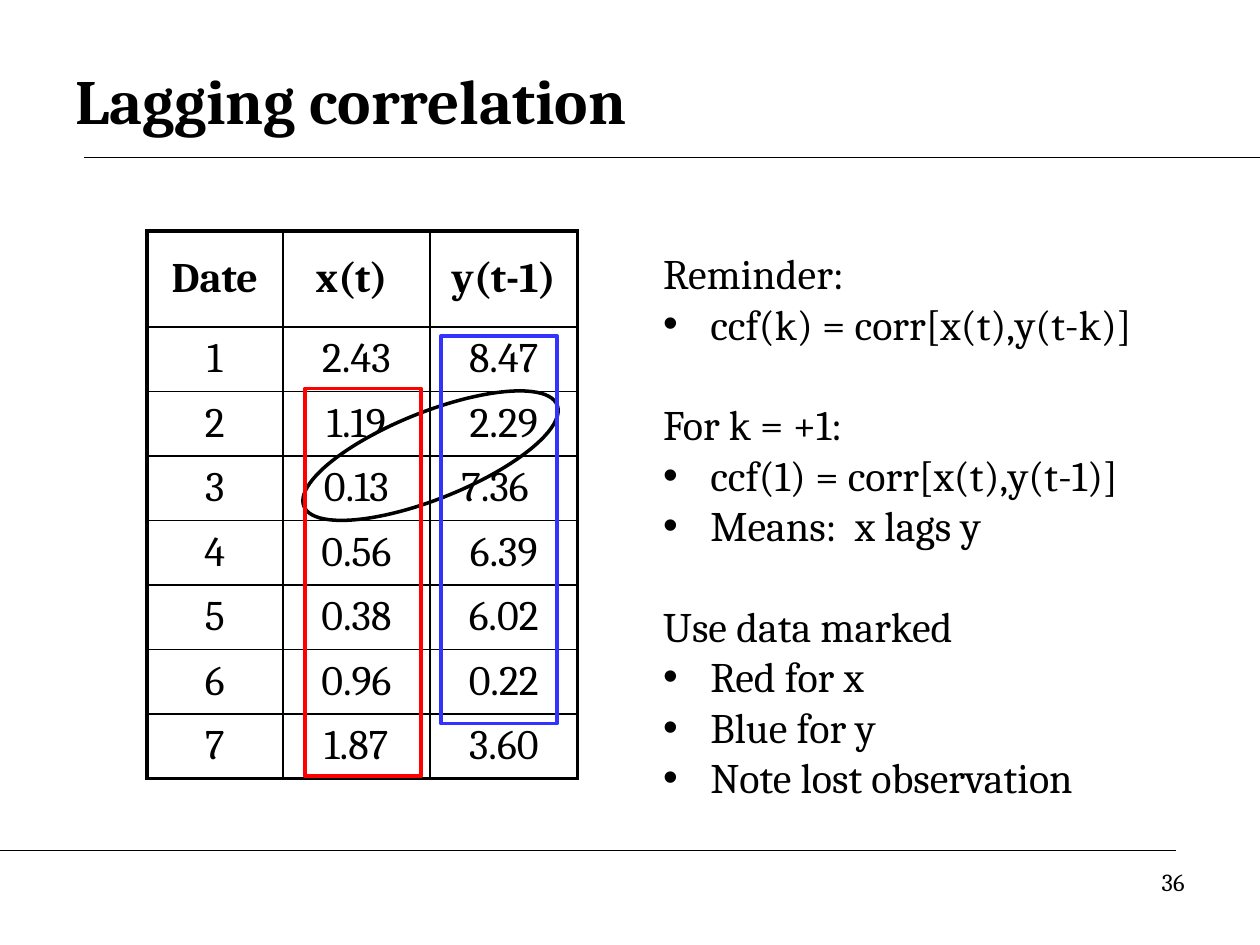
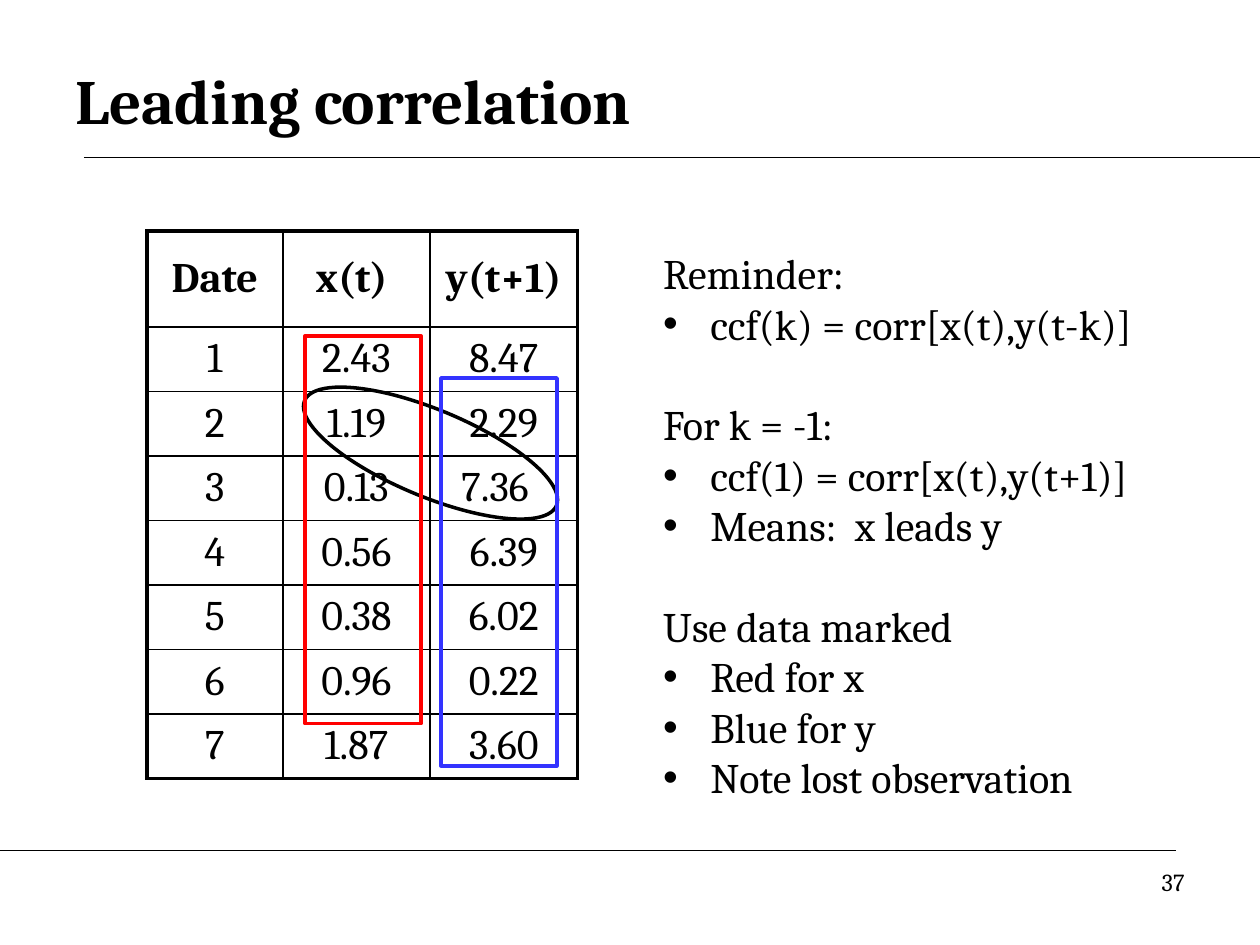
from lxml import etree
from pptx import Presentation
from pptx import util as u
from pptx.dml.color import RGBColor
from pptx.enum import shapes, text
from pptx.oxml.ns import qn

BLACK, RED, BLUE = "000000", "FF0000", "3333FF"
FONT = "Cambria"
THIN, THICK = 1, 2.25
TITLE = {"size": u.Pt(36), "bold": True}
HEADING = {"size": u.Pt(24), "bold": True}
BODY = {"size": u.Pt(24), "bold": False}
NUMBER = {"size": u.Pt(14), "bold": False}

OBSERVATIONS = [
    ("1", "2.43", "8.47"),
    ("2", "1.19", "2.29"),
    ("3", "0.13", "7.36"),
    ("4", "0.56", "6.39"),
    ("5", "0.38", "6.02"),
    ("6", "0.96", "0.22"),
    ("7", "1.87", "3.60"),
]
COLUMN_WIDTHS = (2.74, 2.97, 2.97)
HEADER_HEIGHT, ROW_HEIGHT = 1.93, 1.3
SHIFTED_VALUE = "7.36"
SERIES_LEFT = {RED: 6.15, BLUE: 8.89}
SERIES_SIZE = (2.34, 7.82)

CASES = [
    {"title": "Lagging correlation", "k": "+1", "y": "y(t-1)", "relation": "lags",
     "pair_top": 8.31, "pair_angle": 338.2, "tops": {RED: 7.83, BLUE: 6.77}},
    {"title": "Leading correlation", "k": "-1", "y": "y(t+1)", "relation": "leads",
     "pair_top": 8.26, "pair_angle": 22.6, "tops": {RED: 6.77, BLUE: 7.62}},
]


def colour(value):
    return RGBColor.from_string(value)


def assign(target, values):
    for name, value in values.items():
        setattr(target, name, value)


def lengths(*values):
    return [u.Cm(value) for value in values]


class Deck:
    def __init__(self):
        self.presentation = Presentation()
        assign(self.presentation, {"slide_width": u.Cm(25.4), "slide_height": u.Cm(19.05)})
        self.slide = None

    def new_slide(self, title, number):
        self.slide = self.presentation.slides.add_slide(self.presentation.slide_layouts[6])
        self.rule(1.69, 25.4, 3.18)
        self.rule(0, 23.71, 17.15)
        heading = self.frame(1.27, 0.84, 22.86, 2.34)
        heading.vertical_anchor = text.MSO_ANCHOR.MIDDLE
        self.put_words(heading.paragraphs[0], title, TITLE)
        footer = self.frame(18.21, 17.35, 5.92, 1.32)
        self.put_words(footer.paragraphs[0], str(number), NUMBER, text.PP_ALIGN.RIGHT)

    def rule(self, start, end, top):
        line = self.slide.shapes.add_connector(
            shapes.MSO_CONNECTOR.STRAIGHT, *lengths(start, top, end, top))
        line.line.width = u.Pt(0.75)
        line.line.color.rgb = colour(BLACK)
        etree.SubElement(line._element.spPr, qn("a:effectLst"))

    def frame(self, *box):
        frame = self.slide.shapes.add_textbox(*lengths(*box)).text_frame
        frame.word_wrap = True
        return frame

    def put_words(self, paragraph, words, style, align=text.PP_ALIGN.LEFT):
        paragraph.alignment = align
        run = paragraph.add_run()
        run.text = words
        assign(run.font, {"name": FONT, **style})
        run.font.color.rgb = colour(BLACK)

    def bullet_groups(self, groups, *box):
        frame = self.frame(*box)
        paragraph = frame.paragraphs[0]
        for group, (lead, points) in enumerate(groups):
            for position, words in enumerate([lead, *points]):
                if group or position:
                    paragraph = frame.add_paragraph()
                properties = paragraph._p.get_or_add_pPr()
                properties.set("marL", str(u.Cm(0.95)))
                properties.set("indent", str(-u.Cm(0.95)))
                if position:
                    etree.SubElement(properties, qn("a:buFont"), typeface="Arial")
                    etree.SubElement(properties, qn("a:buChar"), char="•")
                elif group:
                    paragraph.space_before = u.Pt(28.8)
                self.put_words(paragraph, words, BODY)

    def borders(self, cell, widths):
        properties = cell._tc.get_or_add_tcPr()
        for side, width in widths.items():
            edge = etree.SubElement(properties, qn(f"a:ln{side}"), w=str(u.Pt(width)))
            fill = etree.SubElement(edge, qn("a:solidFill"))
            etree.SubElement(fill, qn("a:srgbClr"), val=BLACK)

    def table(self, rows, left, top):
        height = HEADER_HEIGHT + ROW_HEIGHT * (len(rows) - 1)
        table = self.slide.shapes.add_table(
            len(rows), len(COLUMN_WIDTHS),
            *lengths(left, top, sum(COLUMN_WIDTHS), height)).table
        assign(table, {"first_row": False, "horz_banding": False})
        for column, width in zip(table.columns, COLUMN_WIDTHS):
            column.width = u.Cm(width)
        last_row, last_column = len(rows) - 1, len(COLUMN_WIDTHS) - 1
        for r, values in enumerate(rows):
            table.rows[r].height = u.Cm(ROW_HEIGHT if r else HEADER_HEIGHT)
            for c, value in enumerate(values):
                cell = table.cell(r, c)
                outer = {"L": c == 0, "R": c == last_column, "T": r == 0, "B": r == last_row}
                self.borders(cell, {side: THICK if edge else THIN for side, edge in outer.items()})
                cell.fill.background()
                cell.vertical_anchor = text.MSO_ANCHOR.MIDDLE
                if value == SHIFTED_VALUE:
                    cell.margin_right = u.Cm(0.61)
                self.put_words(cell.text_frame.paragraphs[0], value,
                               BODY if r else HEADING, text.PP_ALIGN.CENTER)

    def outline(self, kind, line_colour, box, angle=0):
        marker = self.slide.shapes.add_shape(kind, *lengths(*box))
        marker.rotation = angle
        marker.shadow.inherit = False
        marker.fill.background()
        marker.line.width = u.Pt(2)
        marker.line.color.rgb = colour(line_colour)


def main():
    deck = Deck()
    for number, case in enumerate(CASES, start=36):
        deck.new_slide(case["title"], number)
        deck.bullet_groups([
            ("Reminder:", ["ccf(k) = corr[x(t),y(t-k)]"]),
            (f"For k = {case['k']}:",
             [f"ccf(1) = corr[x(t),{case['y']}]", f"Means:  x {case['relation']} y"]),
            ("Use data marked", ["Red for x", "Blue for y", "Note lost observation"]),
        ], 13.12, 4.87, 10.16, 10.59)
        deck.table([("Date", "x(t) ", case["y"]), *OBSERVATIONS], 2.96, 4.66)
        deck.outline(shapes.MSO_SHAPE.OVAL, BLACK,
                     (5.93, case["pair_top"], 5.5, 1.75), case["pair_angle"])
        for series, top in case["tops"].items():
            deck.outline(shapes.MSO_SHAPE.RECTANGLE, series,
                         (SERIES_LEFT[series], top, *SERIES_SIZE))
    deck.presentation.save("out.pptx")


if __name__ == "__main__":
    main()
